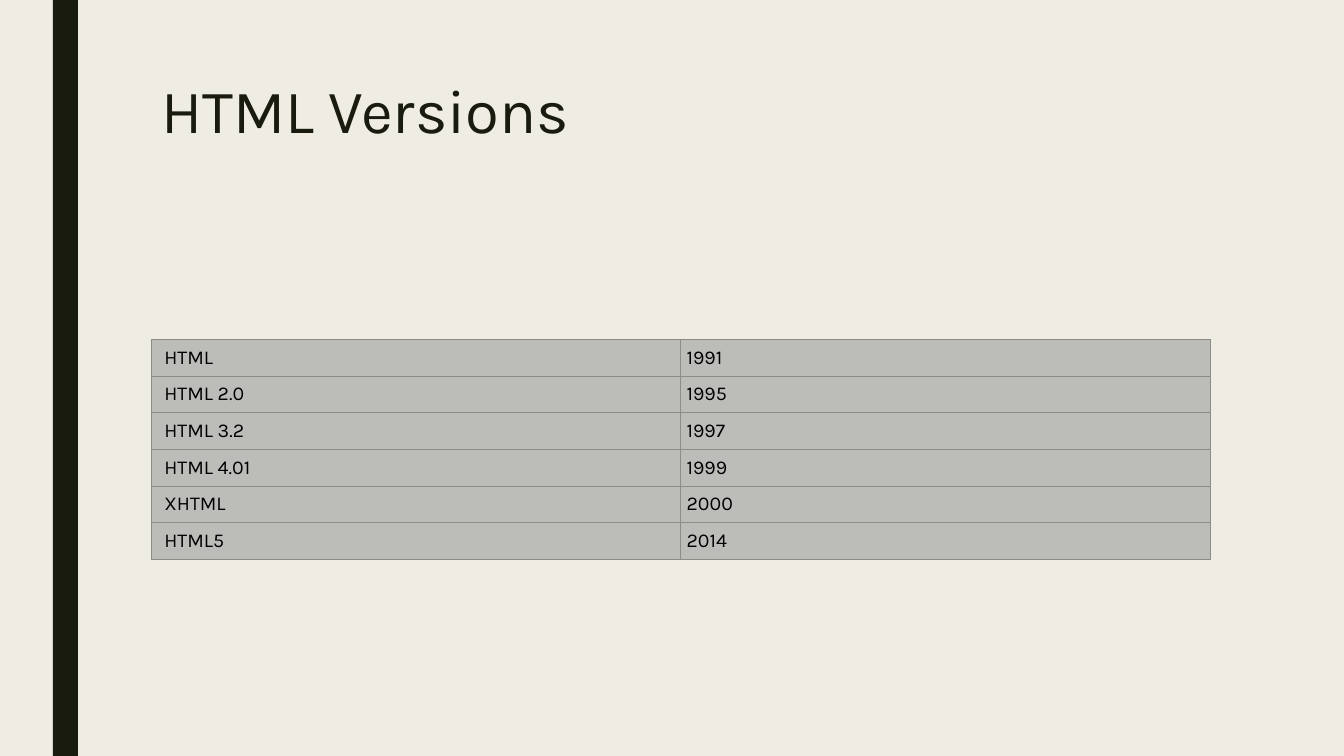
import dataclasses
import lxml.etree
import pptx
import pptx.dml.color
import pptx.enum.shapes
import pptx.enum.text
import pptx.oxml.ns
import pptx.util


@dataclasses.dataclass(frozen=True)
class Theme:
    """Colours, type and line sizes of the deck."""
    paper: str = "EFEDE3"
    ink: str = "191B0E"
    cell: str = "BCBDB8"
    cell_text: str = "000000"
    border: str = "8C8D86"
    font: str = "Karla"
    title_size: int = 44
    cell_size: int = 14
    border_width: float = 0.5


def rgb(value):
    """Turn a hex string into a colour."""
    return pptx.dml.color.RGBColor.from_string(value)


class Page:
    """Holds the theme and the slide, placing elements on a square grid."""
    UNIT = 0.75

    def __init__(self, slide, theme):
        """Paint the background of the slide."""
        self.slide, self.theme = slide, theme
        slide.background.fill.solid()
        slide.background.fill.fore_color.rgb = rgb(theme.paper)

    def place(self, *cells):
        """Convert grid units to lengths."""
        return [pptx.util.Inches(cell * self.UNIT) for cell in cells]

    def add_text(self, paragraph, text, size, colour):
        """Add one styled run."""
        run = paragraph.add_run()
        run.text = text
        run.font.name = self.theme.font
        run.font.size = pptx.util.Pt(size)
        run.font.color.rgb = rgb(colour)

    def bar(self, *area):
        """Draw a plain filled bar."""
        band = self.slide.shapes.add_shape(
            pptx.enum.shapes.MSO_SHAPE.RECTANGLE, *self.place(*area))
        band.shadow.inherit = False
        band.fill.solid()
        band.fill.fore_color.rgb = rgb(self.theme.ink)
        band.line.fill.background()

    def title(self, text, *area):
        """Set the heading."""
        frame = self.slide.shapes.add_textbox(*self.place(*area)).text_frame
        frame.word_wrap = True
        heading = frame.paragraphs[0]
        heading.line_spacing = 0.89
        self.add_text(heading, text, self.theme.title_size, self.theme.ink)

    def outline(self, cell):
        """Rule all four sides of a cell."""
        properties = cell._tc.get_or_add_tcPr()
        qn = pptx.oxml.ns.qn
        for side in "LRTB":
            rule = lxml.etree.SubElement(
                properties, qn(f"a:ln{side}"),
                w=str(pptx.util.Pt(self.theme.border_width)))
            fill = lxml.etree.SubElement(rule, qn("a:solidFill"))
            lxml.etree.SubElement(fill, qn("a:srgbClr"), val=self.theme.border)

    def table(self, rows, *area):
        """Build a ruled table with equal columns and rows."""
        grid = self.slide.shapes.add_table(
            len(rows), len(rows[0]), *self.place(*area)).table
        grid.first_row = grid.horz_banding = False
        for row, values in enumerate(rows):
            for column, value in enumerate(values):
                cell = grid.cell(row, column)
                self.outline(cell)
                cell.fill.solid()
                cell.fill.fore_color.rgb = rgb(self.theme.cell)
                cell.vertical_anchor = pptx.enum.text.MSO_ANCHOR.MIDDLE
                cell.margin_right = cell.margin_top = cell.margin_bottom = pptx.util.Inches(0.06)
                cell.margin_left = pptx.util.Inches(0.06 if column else 0.13)
                self.add_text(cell.text_frame.paragraphs[0], value,
                              self.theme.cell_size, self.theme.cell_text)


VERSIONS = [
    ("HTML", "1991"),
    ("HTML 2.0", "1995"),
    ("HTML 3.2", "1997"),
    ("HTML 4.01", "1999"),
    ("XHTML", "2000"),
    ("HTML5", "2014"),
]

deck = pptx.Presentation()
deck.slide_width = pptx.util.Inches(13.33)
deck.slide_height = pptx.util.Inches(7.5)
page = Page(deck.slides.add_slide(deck.slide_layouts[6]), Theme())
page.bar(0.7, 0, 0.33, 10)
page.title("HTML Versions", 2, 1, 14, 2.16)
page.table(VERSIONS, 2, 4.49, 14, 2.91)
deck.save("out.pptx")
